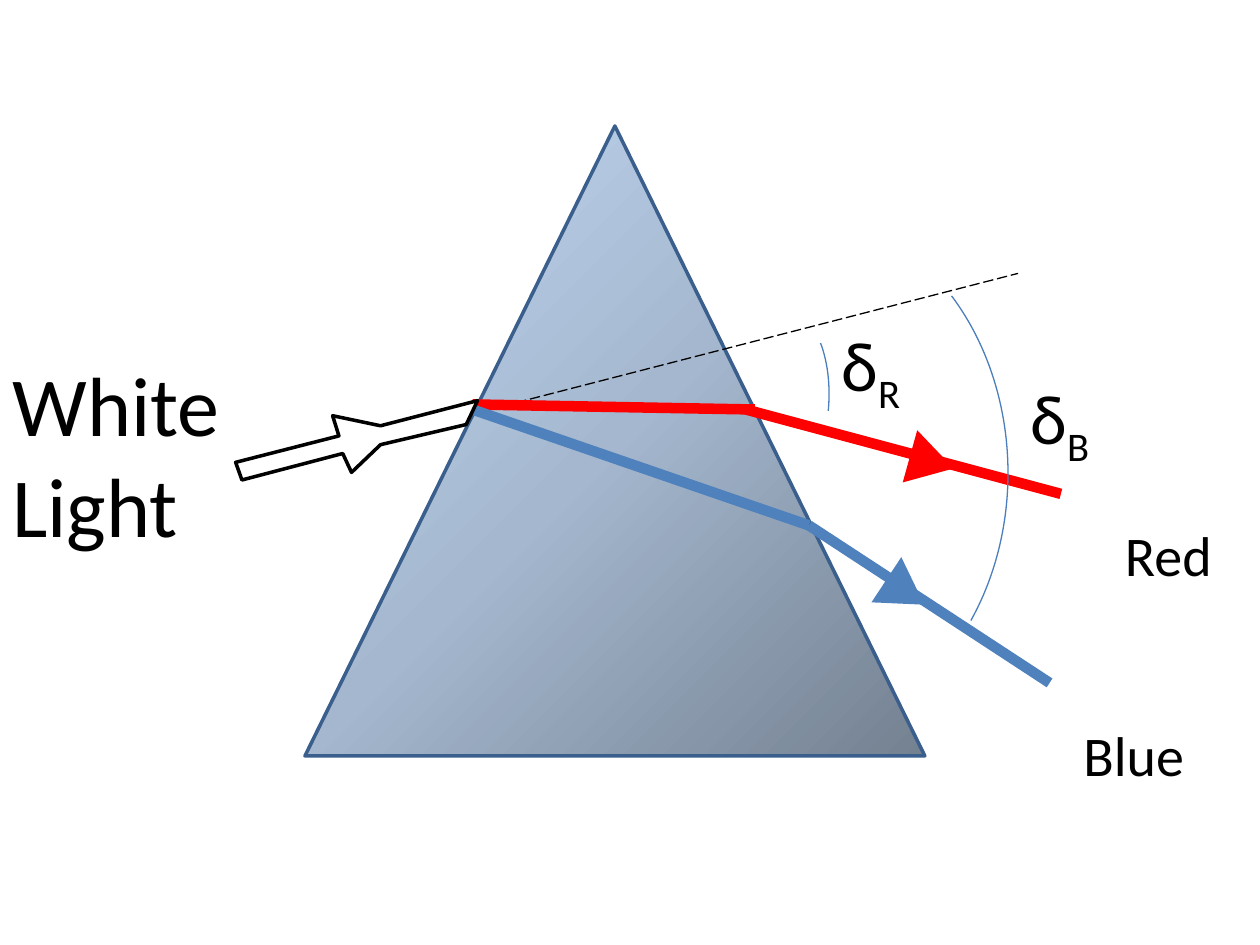
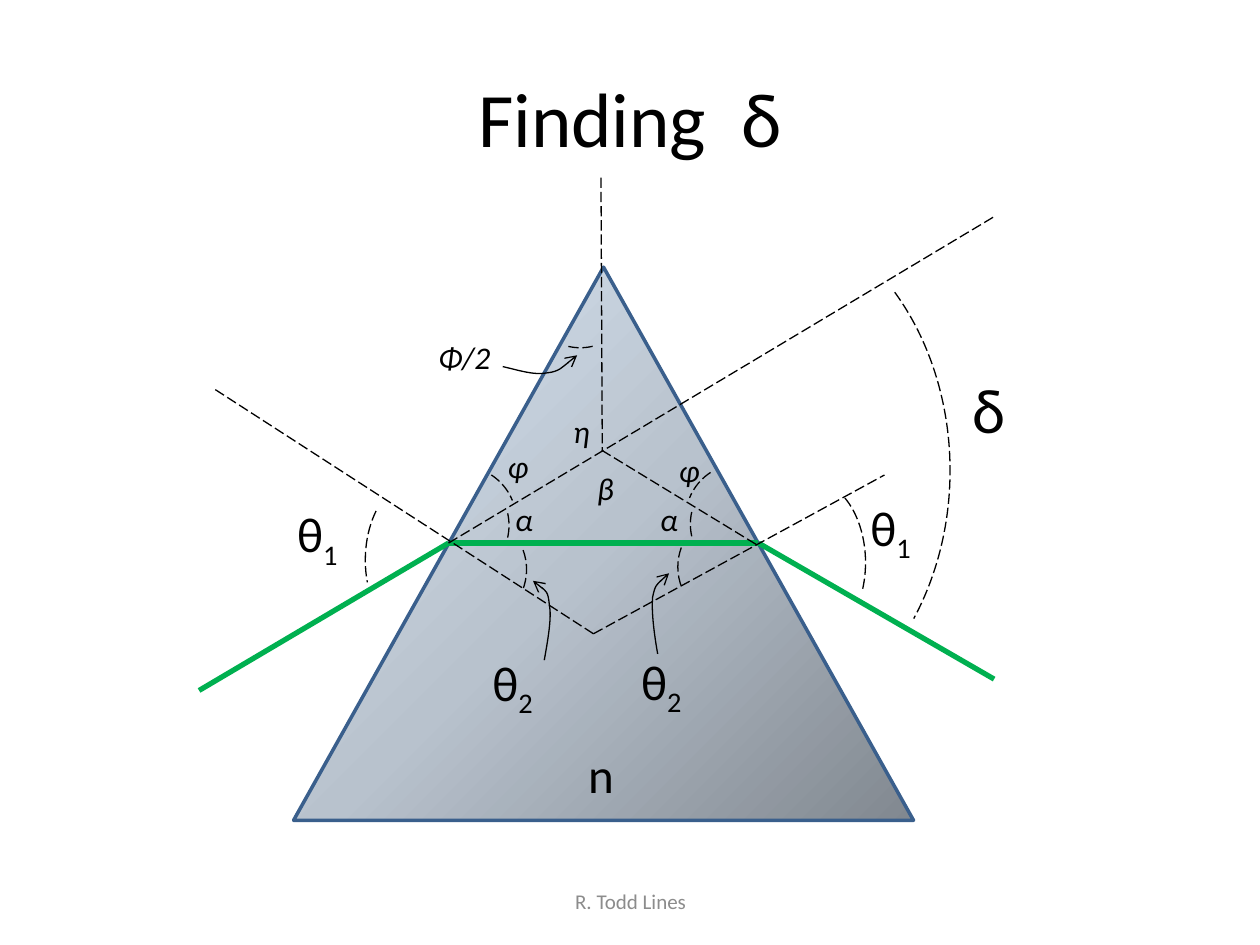
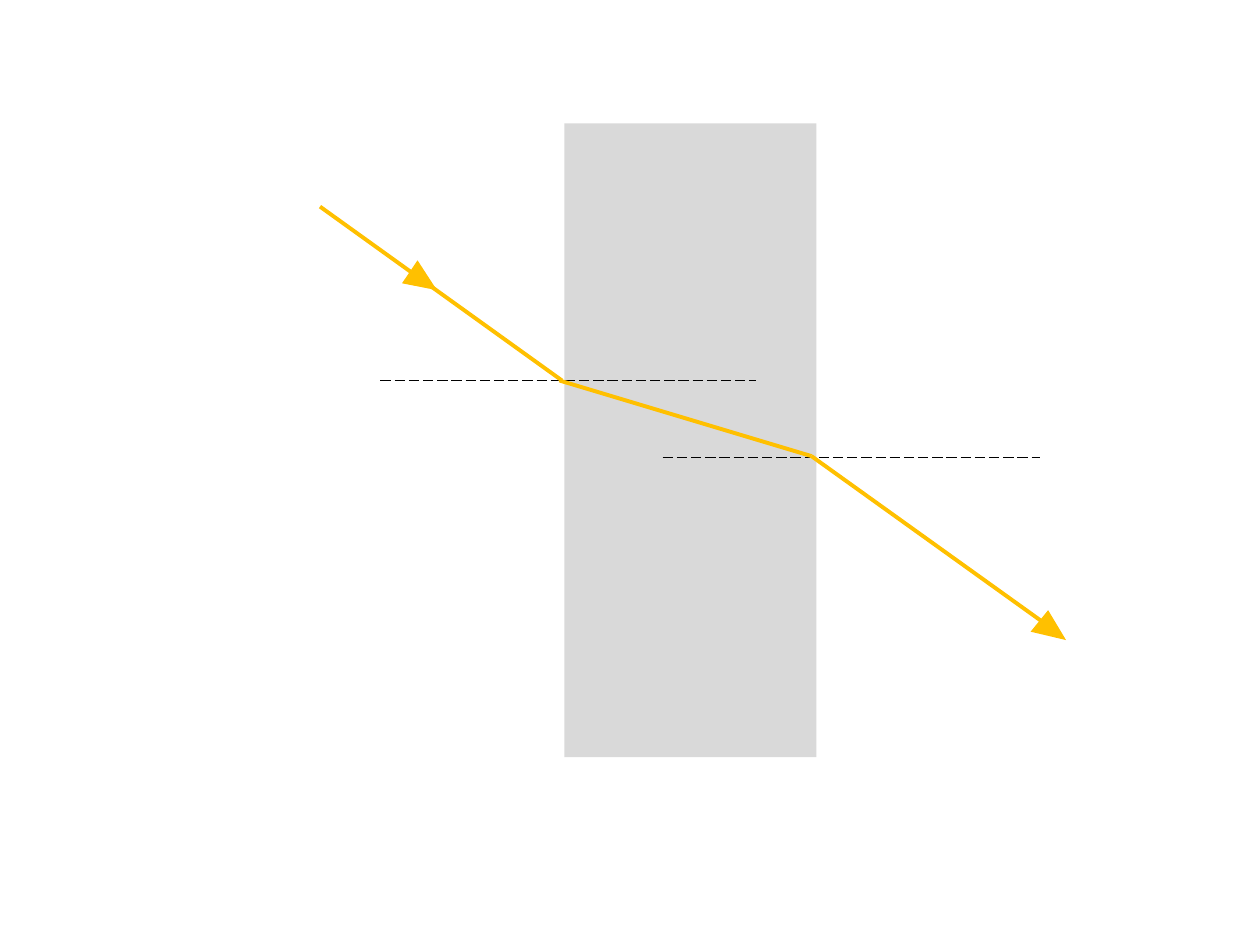
from lxml.etree import SubElement
from pptx import Presentation
from pptx.dml.color import RGBColor
from pptx.enum.dml import MSO_LINE
from pptx.enum.shapes import MSO_CONNECTOR, MSO_SHAPE as SHAPE
from pptx.enum.text import MSO_ANCHOR as ANCHOR, PP_ALIGN as ALIGN
from pptx.oxml import parse_xml
from pptx.oxml.ns import nsdecls, qn
from pptx.util import Inches, Pt

COLOURS = {
    "ink": "000000", "paper": "FFFFFF", "footer": "8C8C8C",
    "red": "FF0000", "blue": "4F81BD", "green": "00B050", "amber": "FFC000",
    "edge": "3A5F8C", "angle": "4B7EBC", "slab": "D9D9D9",
}
RGB = {name: RGBColor.from_string(value) for name, value in COLOURS.items()}
FONT = "Calibri"
THIN = 0.75
SUBSCRIPT = "-25000"


def outline(shape, colour, width, dashed=False, arrow=False):
    """Draw the line of a shape or connector, without a shadow."""
    shape.line.color.rgb = RGB[colour]
    shape.line.width = Pt(width)
    if dashed:
        shape.line.dash_style = MSO_LINE.LONG_DASH
    properties = shape._element.spPr
    if arrow:
        SubElement(properties.find(qn("a:ln")), qn("a:tailEnd"), type="arrow")
    SubElement(properties, qn("a:effectLst"))


def label(slide, text, box, size, sub="", italic=False, colour="ink",
          align=ALIGN.LEFT, anchor=ANCHOR.TOP):
    """Write one line of text, with an optional subscript."""
    frame = slide.shapes.add_textbox(*map(Inches, box)).text_frame
    frame.word_wrap = box[2] > 1.1  # tight boxes hold a single word
    frame.vertical_anchor = anchor
    paragraph = frame.paragraphs[0]
    paragraph.alignment = align
    paragraph.add_run().text = text
    if sub:
        lowered = paragraph.add_run()
        lowered.text = sub
        lowered._r.get_or_add_rPr().set("baseline", SUBSCRIPT)
    font = paragraph.font
    font.name, font.size, font.italic = FONT, Pt(size), italic
    font.color.rgb = RGB[colour]


prs = Presentation()
prs.slide_width, prs.slide_height = Inches(10), Inches(7.5)
dispersion, deviation, refraction = [
    prs.slides.add_slide(prs.slide_layouts[6]) for _ in range(3)]

# Glass prisms, shaded from the lower right corner
for slide, box, shades in [
    (dispersion, (2.42, 1, 4.92, 5), ("748191", "A4B7CE", "C3D9F4")),
    (deviation, (2.33, 2.12, 4.92, 4.39), ("818890", "B8C2CD", "DAE6F3")),
]:
    prism = slide.shapes.add_shape(SHAPE.ISOSCELES_TRIANGLE, *map(Inches, box))
    stops = "".join(
        f'<a:gs pos="{i * 50000}"><a:srgbClr val="{shade}"/></a:gs>'
        for i, shade in enumerate(shades))
    prism._element.spPr.find(qn("a:prstGeom")).addnext(parse_xml(
        f'<a:gradFill {nsdecls("a")} rotWithShape="1"><a:gsLst>{stops}</a:gsLst>'
        '<a:path path="circle"><a:fillToRect l="100000" t="100000"/></a:path>'
        '</a:gradFill>'))
    outline(prism, "edge", 2)

# Glass slab
slab = refraction.shapes.add_shape(
    SHAPE.RECTANGLE, Inches(4.48), Inches(0.98), Inches(2), Inches(5.03))
slab.shadow.inherit = False
slab.fill.solid()
slab.fill.fore_color.rgb = RGB["slab"]
slab.line.fill.background()

# Light rays are solid, normals and extended rays are dashed black
for slide, colour, width, segments in [
    (dispersion, "ink", THIN, [(3.77, 3.28, 8.08, 2.17)]),
    (dispersion, "red", 6, [(3.75, 3.21, 5.99, 3.25)]),
    (dispersion, "blue", 6, [(3.75, 3.25, 6.42, 4.17), (6.42, 4.17, 8.33, 5.42)]),
    (dispersion, "red", 6, [(5.92, 3.25, 8.42, 3.92)]),
    (deviation, "green", 3, [(3.56, 4.31, 1.58, 5.48), (6.02, 4.31, 7.89, 5.39),
                             (3.56, 4.31, 6.02, 4.31)]),
    (deviation, "ink", THIN, [(4.77, 1.41, 4.78, 3.58), (3.56, 4.31, 7.89, 1.72),
                              (4.71, 5.03, 1.69, 3.08), (6, 4.32, 4.77, 3.57),
                              (4.71, 5.03, 7.02, 3.77)]),
    (refraction, "ink", THIN, [(3.02, 3.02, 6, 3.02), (5.26, 3.63, 8.25, 3.63)]),
    (refraction, "amber", 2.25, [(2.54, 1.64, 4.46, 3.02), (6.44, 3.62, 8.35, 4.99),
                                 (4.44, 3.02, 6.44, 3.62)]),
]:
    for ends in segments:
        ray = slide.shapes.add_connector(MSO_CONNECTOR.STRAIGHT, *map(Inches, ends))
        outline(ray, colour, width, dashed=colour == "ink")

# Direction marks on the rays
for slide, colour, box, rotation, apex in [
    (dispersion, "red", (7.18, 3.49, 0.43, 0.36), 105.5, 0.5),
    (dispersion, "blue", (6.97, 4.52, 0.43, 0.36), 123.4, 0.5),
    (refraction, "amber", (3.25, 2.1, 0.22, 0.26), 124.1, 0.5),
    (refraction, "amber", (8.24, 4.88, 0.22, 0.26), 129.1, 0.43),
]:
    mark = slide.shapes.add_shape(SHAPE.ISOSCELES_TRIANGLE, *map(Inches, box))
    mark.adjustments[0] = apex
    mark.rotation = rotation
    mark.shadow.inherit = False
    mark.fill.solid()
    mark.fill.fore_color.rgb = RGB[colour]
    mark.line.fill.background()

# Angle arcs: box, start and end, mirrored, rotation
for slide, colour, arcs in [
    (dispersion, "angle", [
        ((6, 2.5, 0.58, 1.25), (179.32, 15.33), False, 0),
        ((4.58, 1.67, 3.42, 4.17), (187.15, 23.74), False, 0),
    ]),
    (deviation, "ink", [
        ((4.12, 1.62, 3.42, 4.23), (187.15, 23.74), False, 0),
        ((6, 3.81, 0.87, 1.31), (178.77, 17.56), False, 0),
        ((2.9, 3.79, 0.87, 1.31), (187.15, 13.71), True, 0),
        ((5.38, 4.06, 0.87, 0.88), (203.57, 13.71), True, 0),
        ((3.31, 4.08, 0.87, 0.88), (203.57, 13.71), False, 0),
        ((3.17, 3.73, 0.87, 0.88), (208.35, 7.8), False, 0),
        ((5.48, 3.72, 0.87, 0.88), (208.35, 7.8), True, 0),
        ((4.16, 1.88, 0.89, 0.87), (208.35, 7.8), False, 90),
        ((3.23, 3.7, 0.87, 0.88), (181.45, 202.42), False, 0),
        ((5.44, 3.68, 0.87, 0.88), (181.45, 202.42), True, 0),
    ]),
]:
    for box, (start, end), mirrored, rotation in arcs:
        arc = slide.shapes.add_shape(SHAPE.ARC, *map(Inches, box))
        arc.adjustments[0], arc.adjustments[1] = start, end
        arc.rotation = rotation
        if mirrored:
            arc._element.spPr.find(qn("a:xfrm")).set("flipH", "1")
        arc.fill.background()
        outline(arc, colour, THIN, dashed=colour == "ink")

# Incoming white light
corners = [(Inches(x), Inches(y)) for x, y in [
    (1.87, 3.67), (2.69, 3.46), (2.64, 3.3), (3.02, 3.38), (3.79, 3.18),
    (3.7, 3.37), (3.02, 3.53), (2.79, 3.75), (2.72, 3.6), (1.92, 3.81)]]
beam_path = dispersion.shapes.build_freeform(*corners[0])
beam_path.add_line_segments(corners[1:], close=True)
beam = beam_path.convert_to_shape()
beam.fill.solid()
beam.fill.fore_color.rgb = RGB["paper"]
outline(beam, "ink", 2)

# Curved pointers from labels to angles, three points to each Bézier segment
for points in [
    [(5.22, 5.19), (5.19, 5.02), (5.17, 4.85), (5.18, 4.74),
     (5.2, 4.64), (5.25, 4.6), (5.31, 4.55)],
    [(4.32, 5.24), (4.35, 5.07), (4.38, 4.9), (4.36, 4.8),
     (4.35, 4.69), (4.29, 4.65), (4.23, 4.61)],
    [(3.99, 2.91), (4.12, 2.94), (4.24, 2.98), (4.34, 2.96),
     (4.44, 2.95), (4.58, 2.82), (4.58, 2.82)],
]:
    start, *controls = [(Inches(x), Inches(y)) for x, y in points]
    pointer_path = deviation.shapes.build_freeform(*start)
    pointer_path.add_line_segments(controls, close=False)
    pointer = pointer_path.convert_to_shape()
    steps = list(pointer._element.iter(qn("a:lnTo")))
    for i in range(0, len(steps), 3):
        curve = SubElement(steps[i].getparent(), qn("a:cubicBezTo"))
        for step in steps[i:i + 3]:
            curve.append(step[0])
            step.getparent().remove(step)
    pointer.fill.background()
    outline(pointer, "ink", THIN, arrow=True)

# Labels of the dispersion slide
label(dispersion, "White Light", (0, 2.75, 2, 1.72), 48)
label(dispersion, "Red", (8.83, 4.08, 0.89, 0.64), 32)
label(dispersion, "Blue", (8.5, 5.67, 1.01, 0.64), 32)
for sub, left, top in [("R", 6.58, 2.5), ("B", 8.08, 2.92)]:
    label(dispersion, "δ", (left, top, 1.17, 0.77), 40, sub)

# Title, footer and labels of the deviation slide
label(deviation, "Finding  δ", (0.5, 0.3, 9, 1.25), 44,
      align=ALIGN.CENTER, anchor=ANCHOR.MIDDLE)
label(deviation, "R. Todd Lines", (3.42, 6.95, 3.17, 0.4), 12, colour="footer",
      align=ALIGN.CENTER, anchor=ANCHOR.MIDDLE)
label(deviation, "δ", (7.62, 2.89, 1.17, 0.72), 36)
for text, sub, left, top in [
    ("θ", "1", 6.81, 3.9), ("θ", "1", 2.26, 3.95),
    ("θ", "2", 4.99, 5.12), ("θ", "2", 3.81, 5.13), ("n", "", 4.57, 5.86),
]:
    label(deviation, text, (left, top, 1.17, 0.58), 28, sub)
for text, left, top, width in [
    ("η", 4.45, 3.22, 0.35), ("β", 4.64, 3.67, 0.34),
    ("α", 3.99, 3.92, 0.36), ("α", 5.14, 3.92, 0.36),
    ("φ", 3.93, 3.5, 0.34), ("φ", 5.29, 3.53, 0.34), ("Φ/2", 3.38, 2.63, 0.62),
]:
    label(deviation, text, (left, top, width, 0.41), 18, italic=True)

prs.save("out.pptx")
